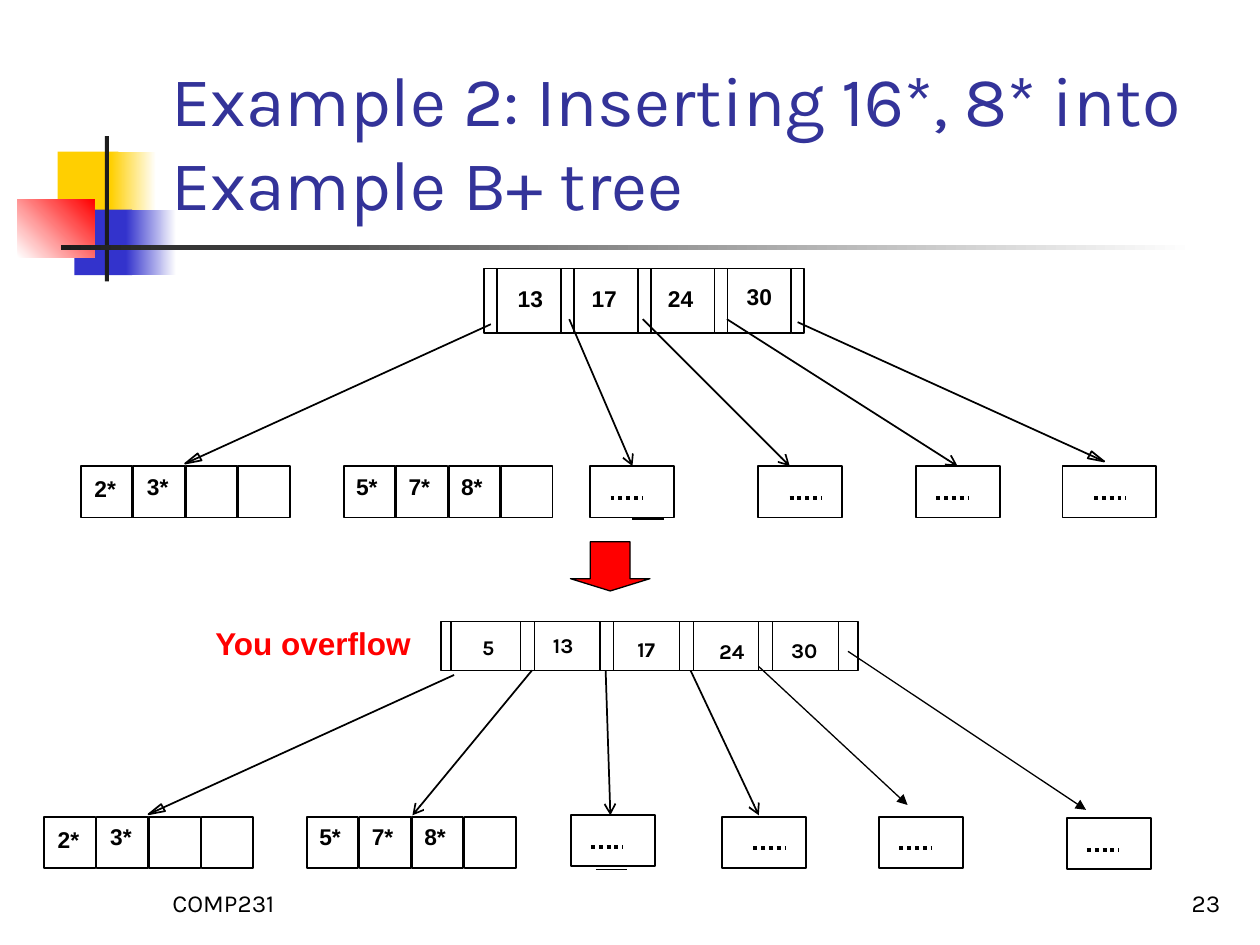
from lxml.etree import SubElement
from pptx import Presentation
from pptx.dml.color import RGBColor
from pptx.enum.dml import MSO_LINE
from pptx.enum.shapes import MSO_CONNECTOR, MSO_SHAPE
from pptx.enum.text import MSO_ANCHOR, PP_ALIGN
from pptx.oxml.ns import qn
from pptx.util import Pt

COLORS = {"black": "000000", "white": "FFFFFF", "red": "FF0000", "gold": "FFCF01",
          "blue": "3333CC", "rule": "1C1C1C", "title": "333399"}


def rgb(name):
    """Return the named colour."""
    return RGBColor.from_string(COLORS[name])


def add_text(s, text, x, y, w, h, size=13, font="Arial", color="black", bold=False,
             wrap=True, anchor=MSO_ANCHOR.TOP, align=PP_ALIGN.LEFT):
    """Add one formatted paragraph in a text box."""
    tf = s.shapes.add_textbox(Pt(x), Pt(y), Pt(w), Pt(h)).text_frame
    tf.word_wrap = wrap
    tf.vertical_anchor = anchor
    p = tf.paragraphs[0]
    p.alignment = align
    r = p.add_run()
    r.text = text
    r.font.size, r.font.name, r.font.bold = Pt(size), font, bold
    r.font.color.rgb = rgb(color)


def style(sp, fill=None, line=None):
    """Set fill (name, name pair or none), outline width and no shadow."""
    sp.shadow.inherit = False
    if fill is None:
        sp.fill.background()
    elif isinstance(fill, tuple):
        sp.fill.gradient()
        for stop, name in zip(sp.fill.gradient_stops, fill):
            stop.color.rgb = rgb(name)
        sp.fill.gradient_angle = 0
    else:
        sp.fill.solid()
        sp.fill.fore_color.rgb = rgb(fill)
    if line is None:
        sp.line.fill.background()
    else:
        sp.line.color.rgb = rgb("black")
        sp.line.width = Pt(line)


def add_box(s, x, y, w, h, fill=None, line=None, kind=MSO_SHAPE.RECTANGLE):
    """Add a preset shape and return it."""
    sp = s.shapes.add_shape(kind, Pt(x), Pt(y), Pt(w), Pt(h))
    style(sp, fill, line)
    return sp


def add_line(s, x1, y1, x2, y2, width=1, head=None, dash=None):
    """Add a black line, optionally dashed or with an arrowhead."""
    c = s.shapes.add_connector(MSO_CONNECTOR.STRAIGHT, Pt(x1), Pt(y1), Pt(x2), Pt(y2))
    c.line.color.rgb = rgb("black")
    c.line.width = Pt(width)
    if dash:
        c.line.dash_style = dash
    if head:
        SubElement(c.line._get_or_add_ln(), qn("a:tailEnd"), type=head)
    SubElement(c._element.spPr, qn("a:effectLst"))


def add_open_arrow(s, x1, y1, x2, y2):
    """Add a line that ends in a hollow triangular head."""
    add_line(s, x1, y1, x2, y2)
    side = 1 if x2 > x1 else -1
    fb = s.shapes.build_freeform(Pt(x2), Pt(y2))
    fb.add_line_segments([(Pt(x2 - side * 9.4), Pt(y2 - 1.8)),
                          (Pt(x2 - side * 7.2), Pt(y2 - 5.8))])
    style(fb.convert_to_shape(), line=1)


def add_decor(s, x, y):
    """Place the coloured squares and the two rules."""
    add_box(s, x + 23, y + 8.9, 34.6, 37.4, "gold")
    add_box(s, x + 53.3, y + 8.9, 25.9, 37.4, ("gold", "white"))
    add_box(s, x + 32.5, y + 42, 33.1, 37.4, "blue")
    add_box(s, x + 62, y + 42, 28.8, 37.4, ("blue", "white"))
    square = add_box(s, x, y + 36, 43.9, 33.1, ("white", "red"))
    square.fill.gradient_angle = 45
    add_box(s, x + 49.9, y, 2.3, 83, "rule")
    add_box(s, x + 24.9, y + 62.5, 648, 2.5, ("rule", "white"))


def add_full_root(s, x, y):
    """Draw the root with four keys and five pointer slots."""
    pitch, slot, h = 43.9, 7.4, 36.7
    keys = [("13", 12.2, 5.8), ("17", 54.4, 5.8), ("24", 98, 5.8), ("30", 143, 4.7)]
    for i, (key, dx, dy) in enumerate(keys):
        left = x + i * pitch
        add_box(s, left, y, pitch, h, line=1)
        add_line(s, left + slot, y, left + slot, y + h)
        add_text(s, key, x + dx, y + dy, 28.8, 22.3, bold=True, wrap=False)
    add_box(s, x + 4 * pitch, y, slot, h, line=1)


def add_overflow_root(s, x, y):
    """Draw the overflowing root with five keys."""
    w, h, pitch = 238.3, 28.1, 45.4
    add_box(s, x, y, w, h, "white", 0.75)
    gaps = [45.4 + i * pitch for i in range(5)]
    for dx in [5.8] + gaps + [gap + 7.9 for gap in gaps[:-1]]:
        add_line(s, x + dx, y, x + dx, y + h, 0.75)
    keys = [("5", 16.5, 4.3), ("13", 56.9, 2.9), ("17", 105.1, 5),
            ("24", 151.9, 6.5), ("30", 193, 5.8)]
    for key, dx, dy in keys:
        add_text(s, key, x + dx, y + dy, 45.4, 21.6, 12, "Karla", bold=True)


def add_leaf(s, x, y, keys, drop=0):
    """Draw a leaf of four cells; the first key sits lower by drop."""
    for i in range(4):
        add_box(s, x + 30 * i, y, 29.4, 29.4, line=1)
    for i, key in enumerate(keys):
        add_text(s, key, x + 30 * i + drop / 2, y + (0 if i else drop), 26.6, 22.3,
                 bold=True, wrap=False)


def add_dotted_leaf(s, x, y, dx=11.7, w=48):
    """Draw a leaf whose content is a dotted line."""
    add_box(s, x, y, w, 29.3, line=1)
    add_line(s, x + dx, y + 18, x + dx + 18, y + 18, 2.25, dash=MSO_LINE.ROUND_DOT)


def add_tree_before(s, x, y):
    """Draw the tree before the split."""
    add_full_root(s, x + 230.4, y)
    add_leaf(s, x, y + 113, ["2*", "3*"], 1.4)
    add_leaf(s, x + 150.2, y + 113, ["5*", "7*", "8*"])
    for dx, dots, w in [(291, 11.7, 48), (387, 18, 48), (477.1, 11.7, 48), (561, 18, 53.3)]:
        add_dotted_leaf(s, x + dx, y + 113, dots, w)
    add_line(s, x + 315, y + 143, x + 333, y + 143)
    add_open_arrow(s, x + 234.3, y + 31.9, x + 59.6, y + 111.5)
    add_open_arrow(s, x + 409.6, y + 30.7, x + 584.8, y + 110.3)
    for x1, x2 in [(279.1, 315.2), (321.1, 405.1), (369.2, 501)]:
        add_line(s, x + x1, y + 29, x + x2, y + 113, head="arrow")


def add_tree_after(s, x, y):
    """Draw the tree with the overflowing root."""
    add_overflow_root(s, x + 226.8, y)
    add_leaf(s, x, y + 111.7, ["2*", "3*"], 1.4)
    add_leaf(s, x + 150.2, y + 111.7, ["5*", "7*", "8*"])
    for dx, dy, dots in [(301, 110.8, 11.5), (387.2, 111.8, 18),
                         (477.2, 111.8, 11.5), (584.4, 112.5, 11.5)]:
        add_dotted_leaf(s, x + dx, y + dy, dots)
    add_line(s, x + 315.3, y + 141.9, x + 333.3, y + 141.9)
    add_open_arrow(s, x + 234.3, y + 30.7, x + 59.7, y + 110.3)
    for x1, x2 in [(278.8, 210.5), (320.9, 323.6), (369.4, 408.4)]:
        add_line(s, x + x1, y + 28.1, x + x2, y + 110.9, head="arrow")
    add_line(s, x + 408.4, y + 25.9, x + 493.4, y + 105, 0.75, "triangle")
    add_line(s, x + 459.4, y + 17.2, x + 595.4, y + 107.8, 0.75, "triangle")


def add_texts(s):
    """Place the title, footer, page number and overflow note."""
    low = {"anchor": MSO_ANCHOR.BOTTOM, "font": "Karla"}
    add_text(s, "Example 2: Inserting 16*, 8* into Example B+ tree",
             90.7, 16.6, 613.4, 115.2, size=40, color="title", **low)
    add_text(s, "COMP231", 91.4, 491.8, 150, 36, size=14, **low)
    add_text(s, "23", 554.4, 491.8, 150, 36, size=14, align=PP_ALIGN.RIGHT, **low)
    add_text(s, "You overflow", 116, 349.2, 127.4, 36, size=18, color="red",
             bold=True, wrap=False, anchor=MSO_ANCHOR.MIDDLE)


def main():
    """Build and save the slide."""
    prs = Presentation()
    prs.slide_width, prs.slide_height = Pt(720), Pt(540)
    s = prs.slides.add_slide(prs.slide_layouts[6])
    add_decor(s, 10, 77.8)
    add_texts(s)
    add_tree_before(s, 46.2, 153.4)
    arrow = add_box(s, 326, 309.6, 45.4, 28.1, "red", 0.75, MSO_SHAPE.DOWN_ARROW)
    arrow.adjustments[0], arrow.adjustments[1] = 0.5, 0.25
    add_tree_after(s, 25.2, 355)
    prs.save("out.pptx")


if __name__ == "__main__":
    main()
